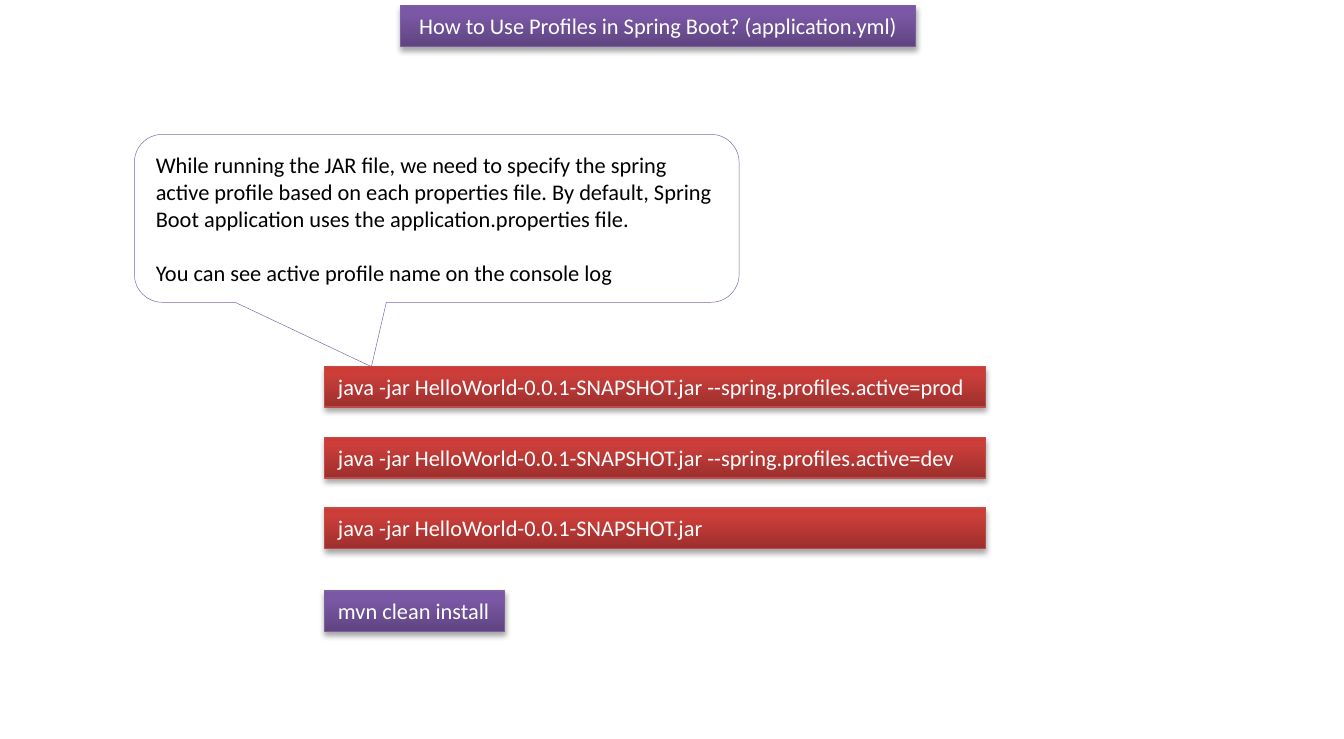
from lxml.etree import SubElement
from pptx import Presentation
from pptx.dml.color import RGBColor
from pptx.enum.shapes import MSO_SHAPE
from pptx.enum.text import MSO_ANCHOR, MSO_AUTO_SIZE, PP_ALIGN
from pptx.oxml.ns import qn
from pptx.util import Pt

# Content
TITLE = "How to Use Profiles in Spring Boot? (application.yml)"
EXPLANATION = [
    "While running the JAR file, we need to specify the spring active profile "
    "based on each properties file. By default, Spring Boot application uses "
    "the application.properties file.",
    "You can see active profile name on the console log",
]
RUN_COMMANDS = [
    "java -jar HelloWorld-0.0.1-SNAPSHOT.jar --spring.profiles.active=prod",
    "java -jar HelloWorld-0.0.1-SNAPSHOT.jar --spring.profiles.active=dev",
    "java -jar HelloWorld-0.0.1-SNAPSHOT.jar",
]
BUILD_COMMAND = "mvn clean install"

# Gradient stops run from the bottom of a bar to its top
RED = {"line": "BF4C48", "stops": [(0, "9C2F2D"), (80, "CB3E3A"), (100, "CE3B37")]}
PURPLE = {"line": "7D60A0", "stops": [(0, "5F4480"), (80, "7B58A6"), (100, "7C57A8")]}

# Layout, in points
BAR_HEIGHT = 21.8
COMMAND_LEFT, COMMAND_TOP, COMMAND_WIDTH, COMMAND_PITCH = 174, 196.4, 354, 37.9
BUILD_TOP, BUILD_WIDTH = 316.6, 96.5


def rgb(value):
    return RGBColor.from_string(value)


def write(shape, paragraphs, color="FFFFFF", align=PP_ALIGN.LEFT,
          anchor=MSO_ANCHOR.TOP, gap=0, wrap=True):
    frame = shape.text_frame
    frame.word_wrap = wrap
    frame.vertical_anchor = anchor
    for index, text in enumerate(paragraphs):
        paragraph = frame.paragraphs[0] if index == 0 else frame.add_paragraph()
        paragraph.alignment = align
        if index:
            paragraph.space_before = Pt(gap)
        run = paragraph.add_run()
        run.text = text
        run.font.name = "Calibri"
        run.font.size = Pt(12)
        run.font.color.rgb = rgb(color)


def add_outlined(kind, left, top, width, height, line, weight):
    shape = slide.shapes.add_shape(kind, Pt(left), Pt(top), Pt(width), Pt(height))
    shape.shadow.inherit = False
    shape.line.color.rgb = rgb(line)
    shape.line.width = Pt(weight)
    return shape


def add_bar(text, left, top, width, theme, **text_format):
    bar = add_outlined(MSO_SHAPE.RECTANGLE, left, top, width, BAR_HEIGHT,
                       theme["line"], 0.75)
    bar.fill.gradient()
    bar.fill.gradient_angle = 90
    properties = bar.fill._xPr

    # Three gradient stops
    stop_list = properties.find(".//" + qn("a:gsLst"))
    stop_list.clear()
    for position, color in theme["stops"]:
        stop = SubElement(stop_list, qn("a:gs"), pos=str(position * 1000))
        SubElement(stop, qn("a:srgbClr"), val=color)

    # Soft shadow straight below
    shadow = SubElement(properties.find(qn("a:effectLst")), qn("a:outerShdw"),
                        blurRad=str(Pt(3.1)), dist=str(Pt(1.8)),
                        dir="5400000", rotWithShape="0")
    shade = SubElement(shadow, qn("a:srgbClr"), val="000000")
    SubElement(shade, qn("a:alpha"), val="35000")

    write(bar, [text], **text_format)
    bar.text_frame.auto_size = MSO_AUTO_SIZE.SHAPE_TO_FIT_TEXT


presentation = Presentation()
presentation.slide_width, presentation.slide_height = Pt(720), Pt(396)
slide = presentation.slides.add_slide(presentation.slide_layouts[6])

# Explanation callout pointing at the first command
callout = add_outlined(MSO_SHAPE.ROUNDED_RECTANGULAR_CALLOUT, 72, 72, 324, 90,
                       "8064A2", 0.25)
for index, value in enumerate((-0.108, 0.883, 0.167)):
    callout.adjustments[index] = value
callout.fill.solid()
callout.fill.fore_color.rgb = rgb("FFFFFF")
write(callout, EXPLANATION, color="000000", anchor=MSO_ANCHOR.MIDDLE, gap=14.6)

# Run commands, evenly spaced
for row, command in enumerate(RUN_COMMANDS):
    add_bar(command, COMMAND_LEFT, COMMAND_TOP + row * COMMAND_PITCH,
            COMMAND_WIDTH, RED)

# Build command and title
add_bar(BUILD_COMMAND, COMMAND_LEFT, BUILD_TOP, BUILD_WIDTH, PURPLE, wrap=False)
add_bar(TITLE, 214.6, 3, 276, PURPLE, align=PP_ALIGN.CENTER)

presentation.save("out.pptx")
